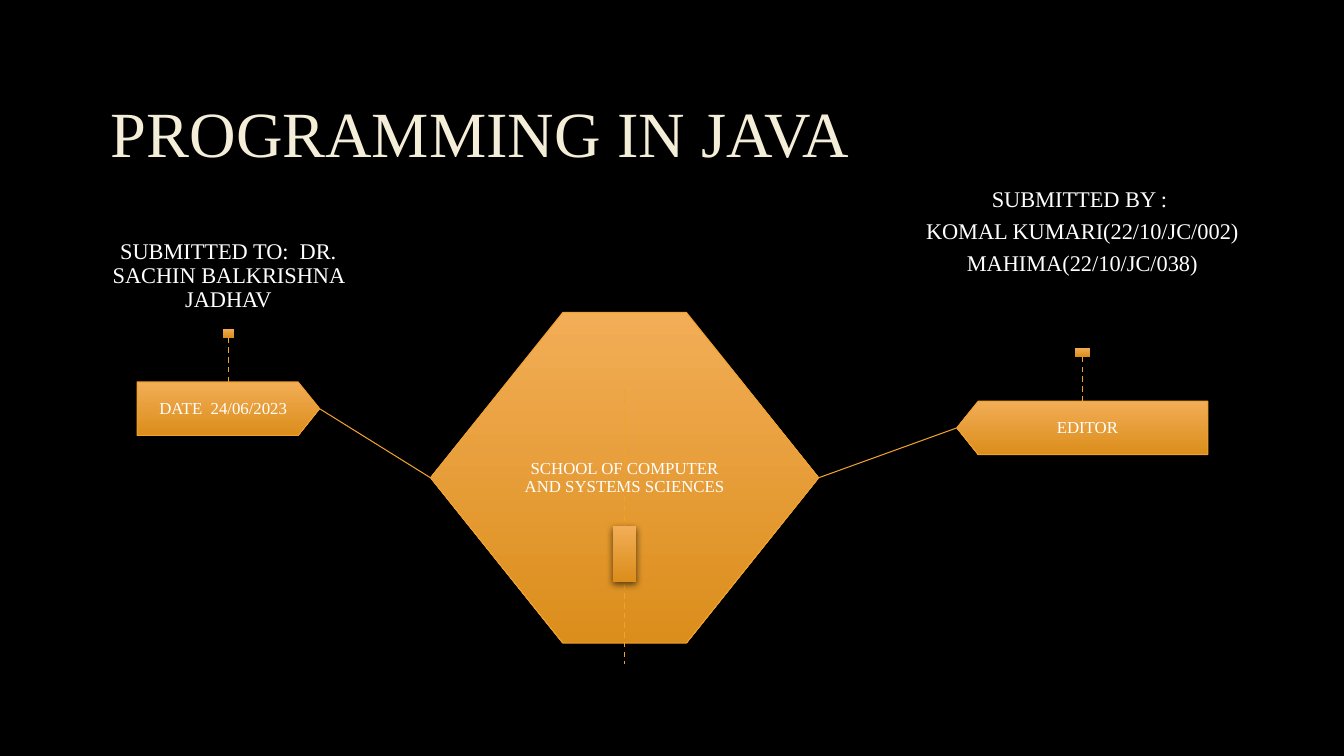
from dataclasses import dataclass

from lxml import etree
from pptx import Presentation
from pptx.dml.color import RGBColor
from pptx.enum.dml import MSO_LINE
from pptx.enum.shapes import MSO_CONNECTOR, MSO_SHAPE
from pptx.enum.text import MSO_ANCHOR, PP_ALIGN
from pptx.oxml.ns import qn
from pptx.util import Inches, Pt

RECTANGLE, PENTAGON, HEXAGON = MSO_SHAPE.RECTANGLE, MSO_SHAPE.PENTAGON, MSO_SHAPE.HEXAGON
STRAIGHT, DASH = MSO_CONNECTOR.STRAIGHT, MSO_LINE.DASH
MIDDLE, BOTTOM = MSO_ANCHOR.MIDDLE, MSO_ANCHOR.BOTTOM
LEFT, CENTER = PP_ALIGN.LEFT, PP_ALIGN.CENTER
BOTTOM_SIDE = 2

TITLE = "PROGRAMMING IN JAVA"
SCHOOL = "SCHOOL OF COMPUTER AND SYSTEMS SCIENCES"
BRANCHES = [
    dict(tag="DATE  24/06/2023", left=1.36, top=3.79, width=1.81, pin=0.11, turned=False,
         lines=["SUBMITTED TO:  DR. SACHIN BALKRISHNA JADHAV"],
         caption_width=2.51, caption_bottom=3.26),
    dict(tag="EDITOR", left=9.49, top=3.98, width=2.49, pin=0.15, turned=True,
         lines=["SUBMITTED BY : ", "KOMAL KUMARI(22/10/JC/002)", "MAHIMA(22/10/JC/038)"],
         caption_width=3.46, caption_bottom=2.9),
]

SLIDE_WIDTH, SLIDE_HEIGHT = 13.33, 7.5
HUB_LEFT, HUB_TOP, HUB_WIDTH, HUB_HEIGHT = 4.27, 3.1, 3.85, 3.28
HUB_X, HUB_Y = HUB_LEFT + HUB_WIDTH / 2, HUB_TOP + HUB_HEIGHT / 2
HUB_STEM_TOP, HUB_STEM_BOTTOM = 3.86, 6.59
HUB_PIN_TOP, HUB_PIN_WIDTH, HUB_PIN_HEIGHT = 5.22, 0.23, 0.55
SCHOOL_WIDTH, SCHOOL_HEIGHT = 2.21, 1.89
TAG_HEIGHT, TIP_INSET, STEM, PIN_HEIGHT = 0.53, 0.1, 0.44, 0.09
CAPTION_HEIGHT = 1.41


@dataclass(frozen=True)
class Theme:
    background: str = "000000"
    title: str = "F4EDD8"
    text: str = "FFFFFF"
    line: str = "F0A22E"
    light: str = "F2AD56"
    dark: str = "DB8E1B"
    shadow: str = "000000"
    font: str = "Times New Roman"
    title_size: float = 46
    caption_size: float = 16
    label_size: float = 12
    paragraph_gap: float = 5.6
    outline: float = 0.75
    dash: float = 1


THEME = Theme()


def rgb(value):
    return RGBColor.from_string(value)


def inches(*values):
    return [Inches(value) for value in values]


def write(box, lines, size, color, align, anchor, margins):
    frame = box.text_frame
    frame.word_wrap = True
    frame.vertical_anchor = anchor
    frame.margin_left = frame.margin_right = Inches(margins[0])
    frame.margin_top = frame.margin_bottom = Inches(margins[1])
    frame.text = "\n".join(lines)
    for para in frame.paragraphs:
        para.alignment = align
        para.line_spacing = 0.9
        para.space_before = Pt(0)
        para.space_after = Pt(THEME.paragraph_gap)
        for span in para.runs:
            span.font.name = THEME.font
            span.font.size = Pt(size)
            span.font.color.rgb = rgb(color)


def add_text(page, place, lines, size, anchor=MIDDLE, margins=(0.1, 0.1)):
    box = page.shapes.add_textbox(*inches(*place))
    write(box, lines, size, THEME.text, CENTER, anchor, margins)


def add_orange(page, kind, place, outlined=True):
    shape = page.shapes.add_shape(kind, *inches(*place))
    shape.fill.gradient()
    shape.fill.gradient_angle = 270
    shape.element.spPr.find(qn("a:gradFill")).set("rotWithShape", "0")
    for stop, color, position in zip(shape.fill.gradient_stops, (THEME.light, THEME.dark), (0, 1)):
        stop.color.rgb = rgb(color)
        stop.position = position
    if outlined:
        shape.line.color.rgb = rgb(THEME.line)
        shape.line.width = Pt(THEME.outline)
        shape.adjustments[0] = 0.4
    else:
        shape.line.fill.background()
    shape.shadow.inherit = False
    effects = shape.element.spPr.find(qn("a:effectLst"))
    shadow = etree.SubElement(effects, qn("a:outerShdw"), blurRad=str(Pt(5)),
                              dist=str(Pt(2)), dir="5400000", rotWithShape="0")
    color = etree.SubElement(shadow, qn("a:srgbClr"), val=THEME.shadow)
    etree.SubElement(color, qn("a:alpha"), val="60000")
    return shape


def add_line(page, start, end, dashed=False):
    line = page.shapes.add_connector(STRAIGHT, *inches(*start, *end))
    line.line.color.rgb = rgb(THEME.line)
    line.line.width = Pt(THEME.dash if dashed else THEME.outline)
    if dashed:
        line.line.dash_style = DASH
    etree.SubElement(line.element.spPr, qn("a:effectLst"))
    return line


def add_hub(page):
    add_orange(page, HEXAGON, (HUB_LEFT, HUB_TOP, HUB_WIDTH, HUB_HEIGHT))
    add_text(page, (HUB_X - SCHOOL_WIDTH / 2, HUB_Y - SCHOOL_HEIGHT / 2,
                    SCHOOL_WIDTH, SCHOOL_HEIGHT), [SCHOOL], THEME.label_size)
    add_line(page, (HUB_X, HUB_STEM_TOP), (HUB_X, HUB_STEM_BOTTOM), dashed=True)
    add_orange(page, RECTANGLE, (HUB_X - HUB_PIN_WIDTH / 2, HUB_PIN_TOP,
                                 HUB_PIN_WIDTH, HUB_PIN_HEIGHT), outlined=False)


def add_branch(page, branch):
    left, top, width, turned = (branch[key] for key in ("left", "top", "width", "turned"))
    center = left + width / 2
    tag = add_orange(page, PENTAGON, (left, top, width, TAG_HEIGHT))
    tag.rotation = 180 if turned else 0
    add_text(page, (left + TIP_INSET * turned, top, width - TIP_INSET, TAG_HEIGHT),
             [branch["tag"]], THEME.label_size)
    add_text(page, (center - branch["caption_width"] / 2, branch["caption_bottom"] - CAPTION_HEIGHT,
                    branch["caption_width"], CAPTION_HEIGHT),
             branch["lines"], THEME.caption_size, BOTTOM, (0, 0.16))
    tip = (left if turned else left + width, top + TAG_HEIGHT / 2)
    add_line(page, tip, (HUB_LEFT + HUB_WIDTH * turned, HUB_Y))
    pin = add_orange(page, RECTANGLE, (center - branch["pin"] / 2, top - STEM - PIN_HEIGHT,
                                       branch["pin"], PIN_HEIGHT), outlined=False)
    stem = add_line(page, (center, top - STEM), (center, top), dashed=True)
    stem.begin_connect(pin, BOTTOM_SIDE)


def main():
    deck = Presentation()
    deck.slide_width, deck.slide_height = inches(SLIDE_WIDTH, SLIDE_HEIGHT)
    page = deck.slides.add_slide(deck.slide_layouts[5])
    page.background.fill.solid()
    page.background.fill.fore_color.rgb = rgb(THEME.background)
    title = page.shapes.title
    title.left, title.top, title.width, title.height = inches(1, 0.67, 11.32, 1.38)
    write(title, [TITLE], THEME.title_size, THEME.title, LEFT, MIDDLE, (0.1, 0.05))
    add_hub(page)
    for branch in BRANCHES:
        add_branch(page, branch)
    deck.save("out.pptx")


if __name__ == "__main__":
    main()
